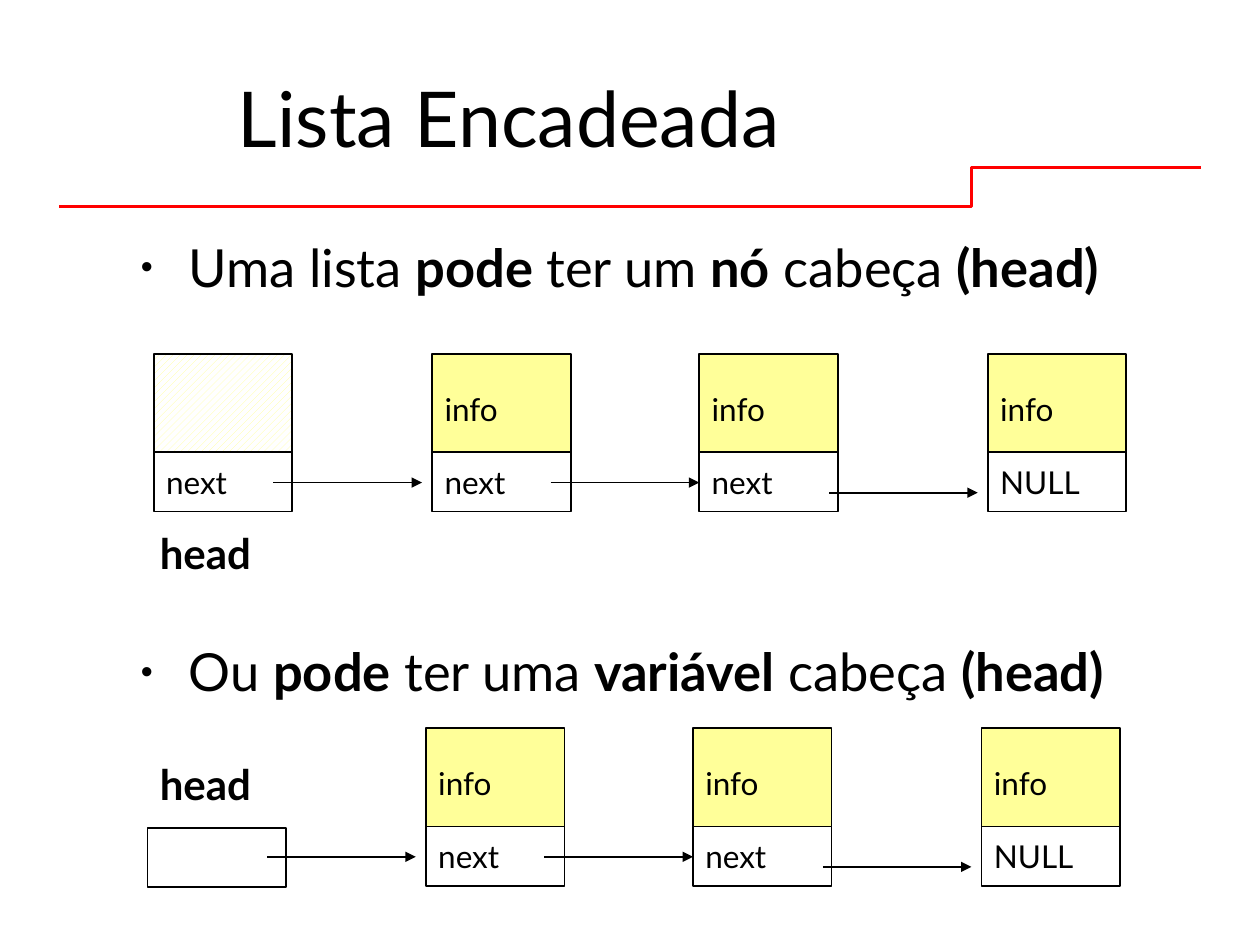
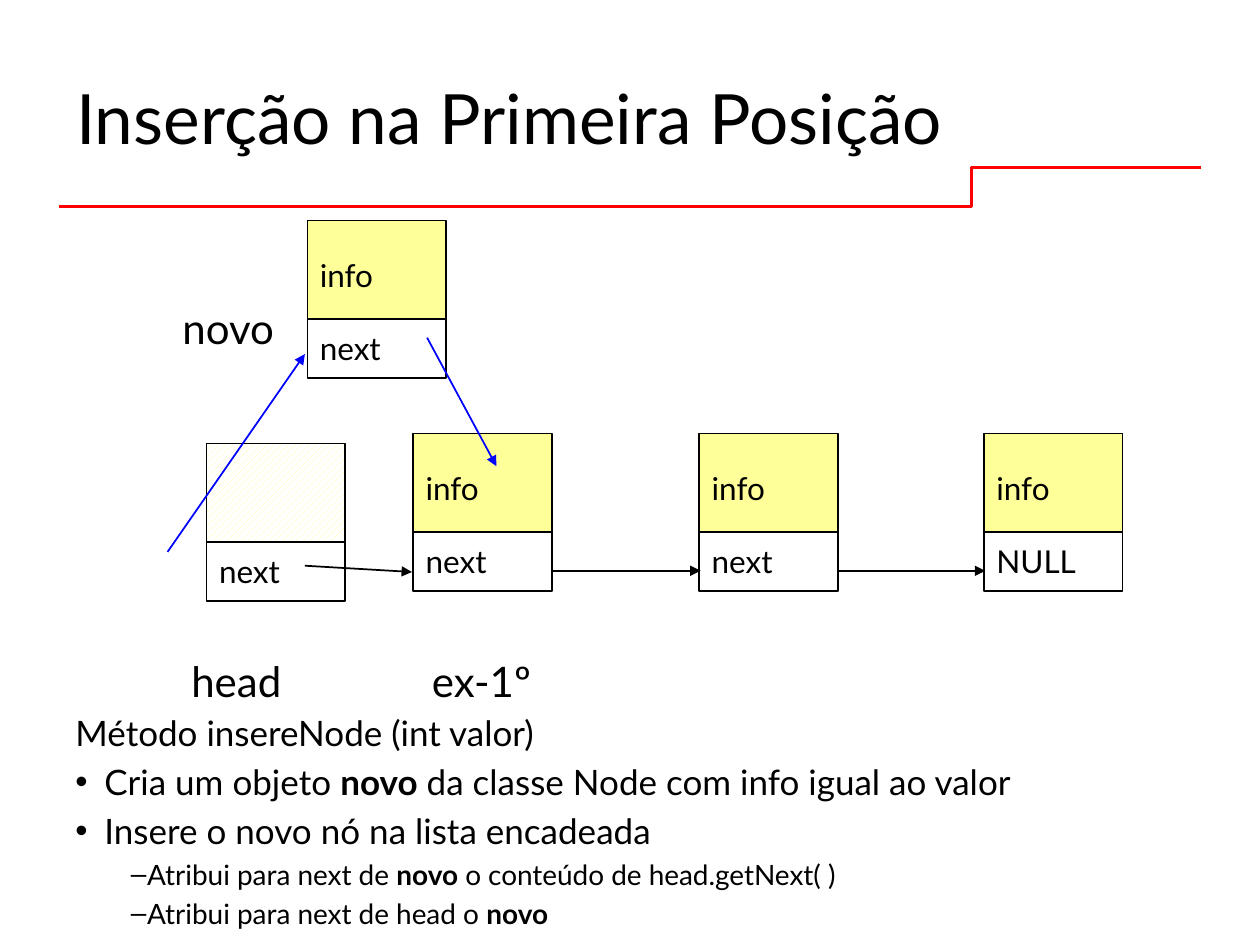
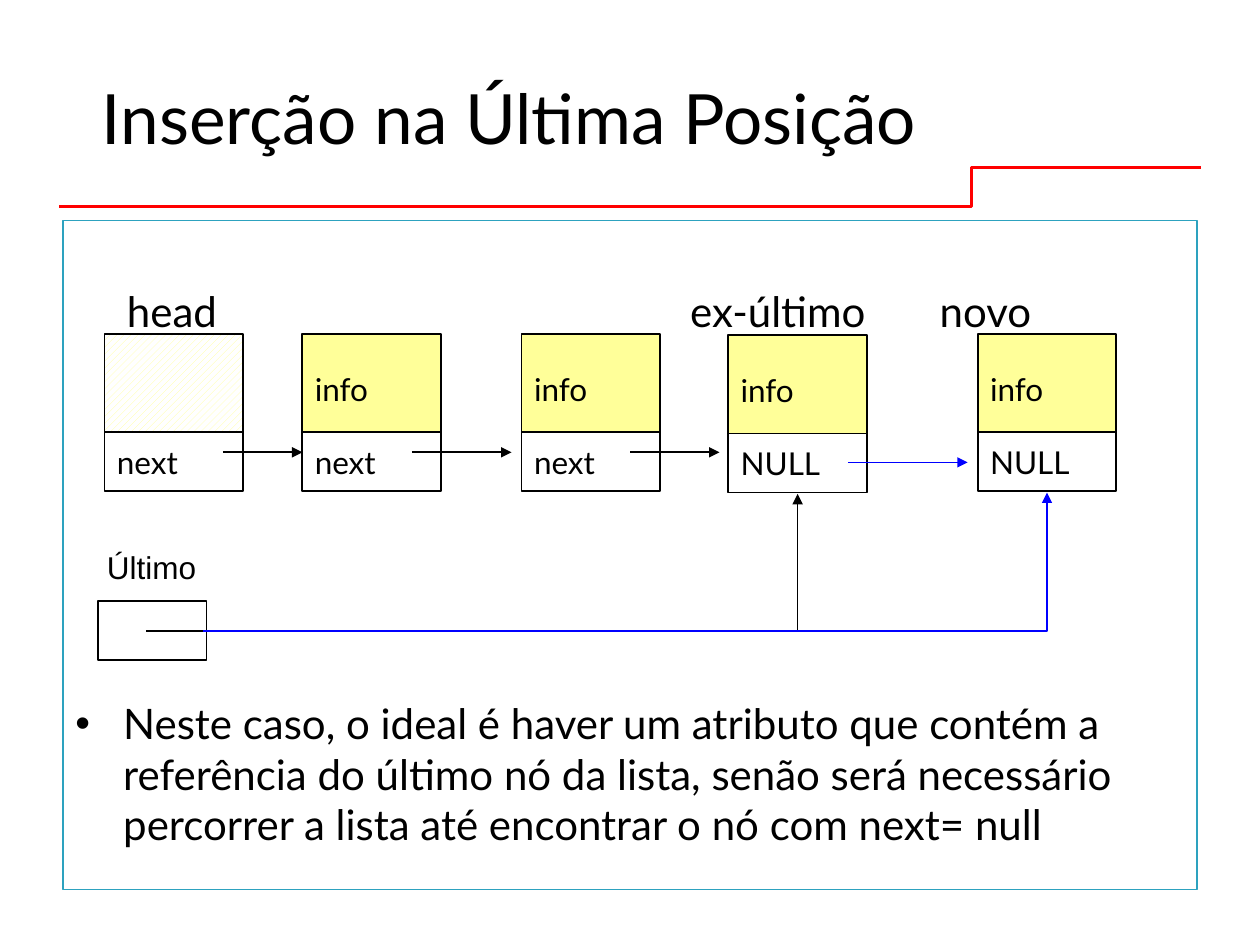
from dataclasses import dataclass
from typing import Optional

from lxml.etree import SubElement
from pptx import Presentation
from pptx.dml.color import RGBColor
from pptx.enum.dml import MSO_PATTERN
from pptx.enum.shapes import MSO_CONNECTOR, MSO_SHAPE
from pptx.enum.text import MSO_ANCHOR, PP_ALIGN
from pptx.oxml.ns import qn
from pptx.util import Inches, Pt

COLORS = {
    "ink": "000000",
    "paper": "FFFFFF",
    "info": "FFFF99",
    "rule": "FF0000",
    "new": "0000FF",
    "frame": "2DA2BF",
}
FONT = "Lato"
NODE_WIDTH = 1.1
INFO_HEIGHT = 0.87
NEXT_OFFSET = 0.78
NEXT_HEIGHT = 0.47


@dataclass(frozen=True)
class Bullet:
    symbol: str
    margin: float
    hanging: float
    percent: int = 100


@dataclass(frozen=True)
class Line:
    text: str
    size: float
    bullet: Optional[Bullet] = None


@dataclass(frozen=True)
class Label:
    text: str
    left: float
    top: float
    width: float = 1.1
    size: float = 24
    font: str = FONT


@dataclass(frozen=True)
class Node:
    left: float
    top: float
    info: str = "info"
    next: str = "next"


@dataclass(frozen=True)
class Arrow:
    start: tuple[float, float]
    end: tuple[float, float]
    color: str = "ink"
    head: bool = True
    bent: bool = False


def rgb(name: str) -> RGBColor:
    return RGBColor.from_string(COLORS[name])


def add_bullet(para, bullet: Bullet) -> None:
    properties = para._p.get_or_add_pPr()
    properties.set("marL", str(Inches(bullet.margin)))
    properties.set("indent", str(-Inches(bullet.hanging)))
    SubElement(properties, qn("a:buSzPct")).set("val", str(bullet.percent * 1000))
    SubElement(properties, qn("a:buFont")).set("typeface", "Arial")
    SubElement(properties, qn("a:buChar")).set("char", bullet.symbol)


def write_text(frame, text: str, *, size: float, font: str = FONT, bullet: Optional[Bullet] = None,
               align=PP_ALIGN.LEFT, spacing: float = 1.0, append: bool = False) -> None:
    frame.word_wrap = True
    para = frame.add_paragraph() if append else frame.paragraphs[0]
    para.alignment = align
    para.line_spacing = spacing
    if append:
        para.space_before = Pt(size * 0.2)
    if bullet:
        add_bullet(para, bullet)
    for index, part in enumerate(text.split("**")):
        if part:
            span = para.add_run()
            span.text = part
            span.font.name = font
            span.font.size = Pt(size)
            span.font.bold = index % 2 == 1
            span.font.color.rgb = rgb("ink")


def add_text_box(page, left: float, top: float, width: float, height: float):
    return page.shapes.add_textbox(Inches(left), Inches(top), Inches(width), Inches(height)).text_frame


def add_box(page, left: float, top: float, width: float, height: float, *,
            fill: Optional[str] = "paper", line: str = "ink", weight: float = 1, text: str = ""):
    box = page.shapes.add_shape(MSO_SHAPE.RECTANGLE, Inches(left), Inches(top), Inches(width), Inches(height))
    box.shadow.inherit = False
    if fill:
        box.fill.solid()
        box.fill.fore_color.rgb = rgb(fill)
    else:
        box.fill.background()
    box.line.color.rgb = rgb(line)
    box.line.width = Pt(weight)
    if text:
        box.text_frame.vertical_anchor = MSO_ANCHOR.MIDDLE
        write_text(box.text_frame, text, size=18)
    return box


def add_node(page, node: Node) -> None:
    box = add_box(page, node.left, node.top, NODE_WIDTH, INFO_HEIGHT, fill="info", text=node.info)
    if not node.info:
        box.fill.patterned()
        box.fill.pattern = MSO_PATTERN.WIDE_UPWARD_DIAGONAL
        box.fill.fore_color.rgb = rgb("info")
        box.fill.back_color.rgb = rgb("paper")
    add_box(page, node.left, node.top + NEXT_OFFSET, NODE_WIDTH, NEXT_HEIGHT, text=node.next)


def add_line(page, kind, start: tuple[float, float], end: tuple[float, float], color: str, weight: float):
    line = page.shapes.add_connector(kind, *(Inches(value) for value in start + end))
    line.line.color.rgb = rgb(color)
    line.line.width = Pt(weight)
    SubElement(line._element.spPr, qn("a:effectLst"))
    return line


def add_arrow(page, arrow: Arrow) -> None:
    kind = MSO_CONNECTOR.ELBOW if arrow.bent else MSO_CONNECTOR.STRAIGHT
    line = add_line(page, kind, arrow.start, arrow.end, arrow.color, 1)
    if arrow.bent:
        line._element.spPr.find(qn("a:prstGeom")).set("prst", "bentConnector2")
    if arrow.head:
        SubElement(line.line._get_or_add_ln(), qn("a:tailEnd")).set("type", "triangle")


def add_page(deck, title: str, size: float):
    page = deck.slides.add_slide(deck.slide_layouts[6])
    rule = add_line(page, MSO_CONNECTOR.ELBOW, (0.47, 1.64), (9.53, 1.33), "rule", 1.5)
    geometry = rule._element.spPr.find(qn("a:prstGeom"))
    adjustments = geometry.find(qn("a:avLst"))
    if adjustments is None:
        adjustments = SubElement(geometry, qn("a:avLst"))
    guide = SubElement(adjustments, qn("a:gd"))
    guide.set("name", "adj1")
    guide.set("fmla", "val 79900")
    frame = add_text_box(page, 0.5, 0.3, 7.08, 1.25)
    frame.vertical_anchor = MSO_ANCHOR.MIDDLE
    write_text(frame, title, size=size, align=PP_ALIGN.CENTER)
    return page


def draw_list(page, nodes: list[Node], arrows: list[Arrow], labels: list[Label]) -> None:
    for node in nodes:
        add_node(page, node)
    for arrow in arrows:
        add_arrow(page, arrow)
    for label in labels:
        frame = add_text_box(page, label.left, label.top, label.width, 0.5)
        write_text(frame, label.text, size=label.size, font=label.font)


def chain(left: float, top: float) -> tuple[list[Node], list[Arrow]]:
    nodes = [Node(left + 2.21, top), Node(left + 4.33, top), Node(left + 6.62, top, next="NULL")]
    arrows = [
        Arrow((left + x, top + y), (left + x + 1.18, top + y))
        for x, y in ((0.95, 1.02), (3.15, 1.02), (5.36, 1.1))
    ]
    return nodes, arrows


def build_linked_list(deck) -> None:
    page = add_page(deck, "Lista Encadeada", 44)
    bullet = Bullet("•", 0.38, 0.38, 65)
    statements = (
        (1.87, "Uma lista **pode** ter um **nó** cabeça **(head)**"),
        (5.08, "Ou **pode** ter uma **variável** cabeça **(head)**"),
    )
    for top, text in statements:
        write_text(add_text_box(page, 1.02, top, 8.42, 0.6), text, size=30, bullet=bullet, spacing=0.9)
    nodes, arrows = chain(1.22, 2.81)
    draw_list(page, [Node(1.22, 2.81, info="")] + nodes, arrows, [Label("**head**", 1.17, 4.14)])
    add_box(page, 1.17, 6.57, NODE_WIDTH, NEXT_HEIGHT)
    nodes, arrows = chain(1.17, 5.78)
    draw_list(page, nodes, arrows, [Label("**head**", 1.17, 5.97)])


def build_first_insertion(deck) -> None:
    page = add_page(deck, "Inserção na Primeira Posição", 39.6)
    nodes = [
        Node(3.28, 3.44),
        Node(1.64, 3.52, info=""),
        Node(5.55, 3.44),
        Node(7.81, 3.44, next="NULL"),
        Node(2.44, 1.75),
    ]
    arrows = [
        Arrow((2.42, 4.49), (3.27, 4.54)),
        Arrow((4.37, 4.53), (5.56, 4.53)),
        Arrow((6.64, 4.53), (7.82, 4.53)),
        Arrow((3.39, 2.68), (3.94, 3.7), "new"),
        Arrow((1.33, 4.38), (2.42, 2.81), "new"),
    ]
    labels = [Label("novo", 1.35, 2.35), Label("head", 1.42, 5.15), Label("ex-1º", 3.33, 5.15)]
    draw_list(page, nodes, arrows, labels)
    step = Bullet("•", 0.23, 0.23)
    detail = Bullet("–", 0.57, 0.13)
    lines = [
        Line("Método insereNode (int valor)", 20),
        Line("Cria um objeto **novo** da classe Node com info igual ao valor", 20, step),
        Line("Insere o novo nó na lista encadeada", 20, step),
        Line("Atribui para next de **novo** o conteúdo de head.getNext( )", 16, detail),
        Line("Atribui para next de head o **novo**", 16, detail),
    ]
    frame = add_text_box(page, 0.5, 5.6, 9, 1.9)
    for index, line in enumerate(lines):
        write_text(frame, line.text, size=line.size, bullet=line.bullet, append=index > 0)


def build_last_insertion(deck) -> None:
    page = add_page(deck, "Inserção na Última Posição", 39.6)
    add_box(page, 0.5, 1.75, 9, 5.31, fill=None, line="frame", weight=0.75)
    add_box(page, 0.78, 4.77, 0.86, NEXT_HEIGHT)
    nodes = [
        Node(0.83, 2.65, info=""),
        Node(2.4, 2.65),
        Node(4.14, 2.65),
        Node(5.78, 2.66, next="NULL"),
        Node(7.76, 2.65, next="NULL"),
    ]
    arrows = [
        Arrow((1.77, 3.59), (2.4, 3.59)),
        Arrow((3.27, 3.59), (4.06, 3.59)),
        Arrow((5, 3.59), (5.71, 3.59)),
        Arrow((6.73, 3.67), (7.68, 3.67), "new"),
        Arrow((1.65, 5.01), (6.33, 3.92), bent=True),
        Arrow((1.65, 5.01), (1.16, 5.01), head=False),
        Arrow((1.61, 5.01), (8.31, 3.91), "new", bent=True),
    ]
    labels = [
        Label("head", 0.91, 2.22),
        Label("ex-último", 5.38, 2.22, width=1.8),
        Label("novo", 7.36, 2.22),
        Label("Último", 0.75, 4.3, size=18, font="Arial"),
    ]
    draw_list(page, nodes, arrows, labels)
    write_text(
        add_text_box(page, 0.5, 5.49, 9, 1.4),
        "Neste caso, o ideal é haver um atributo que contém a referência do último nó da lista, "
        "senão será necessário percorrer a lista até encontrar o nó com next= null",
        size=24,
        bullet=Bullet("•", 0.38, 0.38),
    )


def main() -> None:
    deck = Presentation()
    deck.slide_width = Inches(10)
    deck.slide_height = Inches(7.5)
    build_linked_list(deck)
    build_first_insertion(deck)
    build_last_insertion(deck)
    deck.save("out.pptx")


if __name__ == "__main__":
    main()
